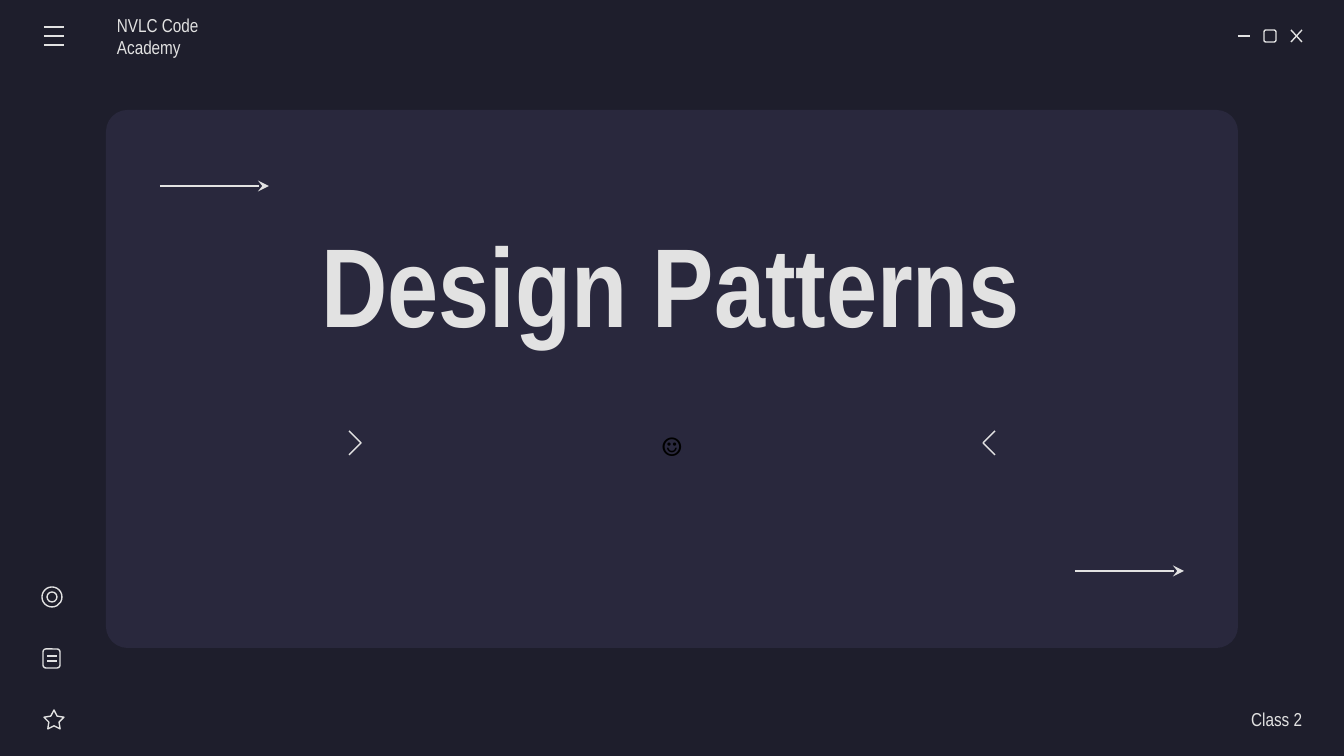
from dataclasses import dataclass

from lxml.etree import SubElement
from pptx import Presentation
from pptx.dml.color import RGBColor
from pptx.enum.shapes import MSO_CONNECTOR as Link, MSO_SHAPE as Kind
from pptx.enum.text import MSO_ANCHOR as Anchor, PP_ALIGN as Align
from pptx.oxml.ns import qn
from pptx.util import Pt

SCALE = 9144000 / 1344  # EMU in one px
WIDE, HIGH = 1344, 756
PAD = 13

NIGHT = RGBColor(0x1E, 0x1E, 0x2C)
PANEL = RGBColor(0x29, 0x28, 0x3D)
LIGHT = RGBColor(0xE2, 0xE2, 0xE2)
BLACK = RGBColor(0, 0, 0)


@dataclass
class Form:
    kind: Kind
    box: tuple[int, int, int, int]
    fill: RGBColor | None = None
    bend: float | None = None


@dataclass
class Stroke:
    start: tuple[int, int]
    end: tuple[int, int]
    arrow: bool = False


@dataclass
class Label:
    text: str
    box: tuple[int, int, int, int]
    size: int
    align: Align = Align.CENTER
    left: int = PAD
    right: int = PAD
    bold: bool = False
    font: str = "Arial Narrow"
    color: RGBColor = LIGHT


CARD = Form(Kind.ROUNDED_RECTANGLE, (106, 110, 1132, 538), PANEL, 0.04)

ICONS = [
    Form(Kind.ROUNDED_RECTANGLE, (1264, 30, 12, 12)),
    Form(Kind.STAR_5_POINT, (44, 710, 20, 19), bend=0.254),
    Form(Kind.ROUNDED_RECTANGLE, (43, 649, 17, 19)),
    Form(Kind.OVAL, (42, 587, 20, 20)),
    Form(Kind.OVAL, (47, 592, 10, 10)),
]

MENU = [Stroke((44, y), (64, y)) for y in range(27, 46, 9)]
NOTE = [Stroke((47, y), (57, y)) for y in (656, 661)]
CLOSE = [Stroke((1291, 30), (1302, 42)), Stroke((1302, 30), (1291, 42))]
ARROWS = [Stroke((x, y), (x + 109, y), True) for x, y in ((160, 186), (1075, 571))]
STROKES = [Stroke((1238, 36), (1250, 36)), *CLOSE, *MENU, *NOTE, *ARROWS]

CHEVRONS = [(349, 361), (995, 983)]  # x of the open side and of the tip

LABELS = [
    Label("NVLC Code Academy", (117, 16, 157, 40), 10, Align.LEFT, left=0),
    Label("Class 2", (1145, 699, 157, 40), 10, Align.RIGHT, right=0),
    Label("Design Patterns", (263, 187, 816, 191), 60, bold=True),
    Label("☺", (360, 378, 624, 130), 18, font="Fira Code", color=BLACK),
]


def px(*nums: int) -> list[int]:
    return [round(n * SCALE) for n in nums]


def assign(item, values: dict) -> None:
    for name, value in values.items():
        setattr(item, name, value)


def outline(item) -> None:
    item.line.color.rgb = LIGHT
    item.line.width = Pt(0.75)


def draw_form(shapes, form: Form) -> None:
    shape = shapes.add_shape(form.kind, *px(*form.box))
    shape.shadow.inherit = False
    if form.bend is not None:
        shape.adjustments[0] = form.bend
    if form.fill is None:
        shape.fill.background()
        outline(shape)
    else:
        shape.fill.solid()
        shape.fill.fore_color.rgb = form.fill
        shape.line.fill.background()


def draw_stroke(shapes, stroke: Stroke) -> None:
    line = shapes.add_connector(Link.STRAIGHT, *px(*stroke.start, *stroke.end))
    outline(line)
    if stroke.arrow:
        SubElement(line.line._get_or_add_ln(), qn("a:tailEnd"), type="stealth")
    SubElement(line._element.spPr, qn("a:effectLst"))


def draw_chevron(shapes, side: int, tip: int) -> None:
    path = shapes.build_freeform(side, 431, SCALE)
    path.add_line_segments([(tip, 443), (side, 455)], close=False)
    shape = path.convert_to_shape()
    shape.shadow.inherit = False
    shape.fill.background()
    outline(shape)


def draw_label(shapes, label: Label) -> None:
    frame = shapes.add_textbox(*px(*label.box)).text_frame
    left, right, pad = px(label.left, label.right, PAD)
    assign(frame, {
        "word_wrap": True,
        "vertical_anchor": Anchor.MIDDLE,
        "margin_left": left,
        "margin_right": right,
        "margin_top": pad,
        "margin_bottom": pad,
    })
    para = frame.paragraphs[0]
    para.alignment = label.align
    run = para.add_run()
    run.text = label.text
    assign(run.font, {"name": label.font, "size": Pt(label.size), "bold": label.bold})
    run.font.color.rgb = label.color


def main() -> None:
    deck = Presentation()
    deck.slide_width, deck.slide_height = px(WIDE, HIGH)
    slide = deck.slides.add_slide(deck.slide_layouts[6])
    back = slide.background.fill
    back.solid()
    back.fore_color.rgb = NIGHT
    shapes = slide.shapes
    for form in (CARD, *ICONS):
        draw_form(shapes, form)
    for label in LABELS:
        draw_label(shapes, label)
    for side, tip in CHEVRONS:
        draw_chevron(shapes, side, tip)
    for stroke in STROKES:
        draw_stroke(shapes, stroke)
    deck.save("out.pptx")


if __name__ == "__main__":
    main()
